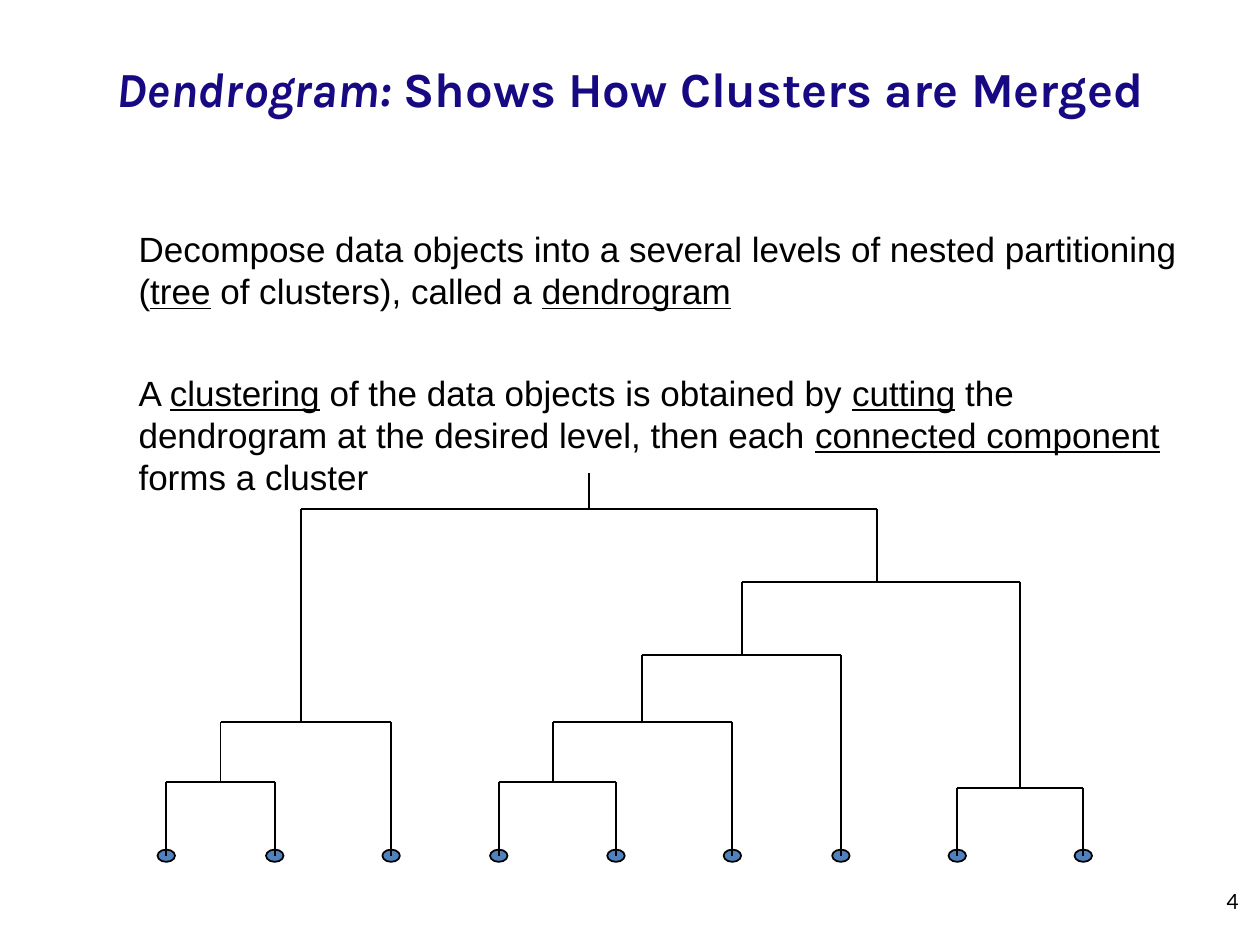
"""Build a slide that explains a dendrogram and draws one for nine objects."""
from lxml import etree
from pptx import Presentation
from pptx.dml.color import RGBColor
from pptx.enum.shapes import MSO_CONNECTOR, MSO_SHAPE
from pptx.enum.text import MSO_ANCHOR, PP_ALIGN
from pptx.oxml.ns import qn
from pptx.util import Pt

STRAIGHT = MSO_CONNECTOR.STRAIGHT
OVAL = MSO_SHAPE.OVAL
MIDDLE = MSO_ANCHOR.MIDDLE
CENTER, RIGHT = PP_ALIGN.CENTER, PP_ALIGN.RIGHT
BLACK = RGBColor(0x00, 0x00, 0x00)
NAVY = RGBColor(0x17, 0x09, 0x81)
BLUE = RGBColor(0x4F, 0x81, 0xBD)

prs = Presentation()
prs.slide_width, prs.slide_height = Pt(720), Pt(540)
slide = prs.slides.add_slide(prs.slide_layouts[6])
dendrogram = slide.shapes.add_group_shape()


def add_branch(x1, y1, x2, y2):
    branch = dendrogram.shapes.add_connector(STRAIGHT, Pt(x1), Pt(y1), Pt(x2), Pt(y2))
    branch.line.color.rgb = BLACK
    branch.line.width = Pt(1)
    etree.SubElement(branch._element.spPr, qn("a:effectLst"))


def add_text(left, top, width, height):
    frame = slide.shapes.add_textbox(Pt(left), Pt(top), Pt(width), Pt(height)).text_frame
    frame.word_wrap = True
    return frame


LEAF_Y = 489
LEAF_W, LEAF_H = 10, 7
leaves = [95, 157, 223.5, 285, 352, 418.5, 480.5, 547, 619]
for x in leaves:
    leaf = dendrogram.shapes.add_shape(
        OVAL, Pt(x - LEAF_W / 2), Pt(LEAF_Y - LEAF_H / 2), Pt(LEAF_W), Pt(LEAF_H))
    leaf.shadow.inherit = False
    leaf.fill.solid()
    leaf.fill.fore_color.rgb = BLUE
    leaf.line.color.rgb = BLACK
    leaf.line.width = Pt(1)

clusters = {str(number): (x, LEAF_Y) for number, x in enumerate(leaves, 1)}
merges = [
    ("1", "2", 126, 447),
    ("12", "3", 172, 412.5),
    ("4", "5", 316, 447),
    ("45", "6", 367, 412.5),
    ("456", "7", 424, 374.5),
    ("8", "9", 583, 450.5),
    ("4567", "89", 501, 332.5),
    ("123", "456789", 336.5, 291),
]
for first, second, stem_x, level in merges:
    first_x, first_y = clusters[first]
    second_x, second_y = clusters[second]
    add_branch(first_x, first_y, first_x, level)
    add_branch(first_x, level, second_x, level)
    add_branch(second_x, level, second_x, second_y)
    clusters[first + second] = (stem_x, level)
root_x, root_y = clusters["123456789"]
add_branch(root_x, root_y, root_x, 270)

title = add_text(36, 21.5, 648, 90)
title.vertical_anchor = MIDDLE
title.margin_bottom = Pt(36)
heading = title.paragraphs[0]
heading.alignment = CENTER
heading.font.name = "Karla"
heading.font.size = Pt(28)
heading.font.bold = True
heading.font.color.rgb = NAVY
term = heading.add_run()
term.text = "Dendrogram:"
term.font.italic = True
heading.add_run().text = " Shows How Clusters are Merged"

explanations = [
    ("Decompose data objects into a several levels of nested partitioning "
     "(|tree| of clusters), called a |dendrogram", 5),
    ("A |clustering| of the data objects is obtained by |cutting| the dendrogram "
     "at the desired level, then each |connected component| forms a cluster", 34),
]
body = add_text(36, 126.5, 648, 356)
body.margin_left = Pt(43.2)
for index, (explanation, gap) in enumerate(explanations):
    paragraph = body.add_paragraph() if index else body.paragraphs[0]
    paragraph.space_before = Pt(gap)
    paragraph.line_spacing = Pt(24)
    paragraph.font.name = "Arial"
    paragraph.font.size = Pt(20)
    paragraph.font.color.rgb = BLACK
    for position, words in enumerate(explanation.split("|")):
        run = paragraph.add_run()
        run.text = words
        if position % 2:
            run.font.underline = True

footer = add_text(547, 500.5, 168, 29)
footer.vertical_anchor = MIDDLE
page_number = footer.paragraphs[0]
page_number.text = "4"
page_number.alignment = RIGHT
page_number.font.name = "Lato"
page_number.font.size = Pt(12)
page_number.font.color.rgb = BLACK

prs.save("out.pptx")
